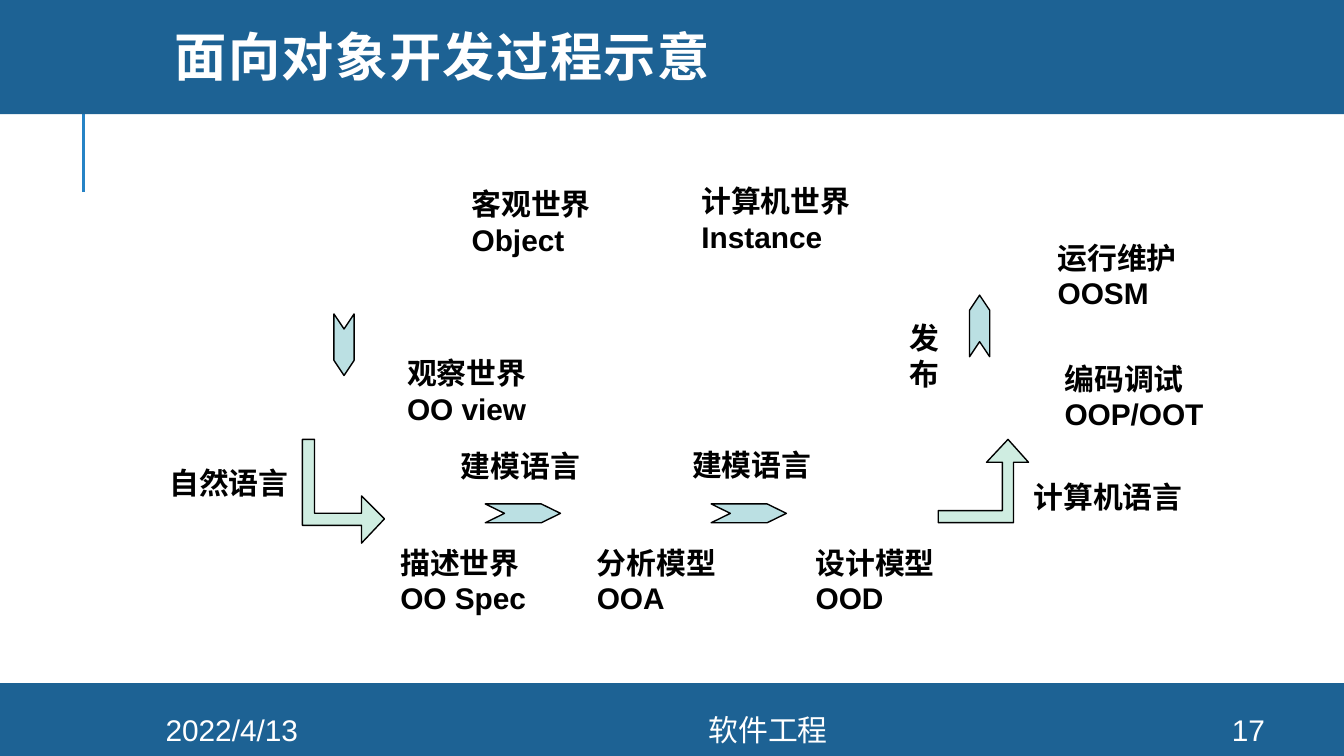
from lxml.etree import SubElement
from pptx import Presentation
from pptx.dml.color import RGBColor
from pptx.enum.shapes import MSO_CONNECTOR as Connector, MSO_SHAPE as Shape
from pptx.enum.text import MSO_ANCHOR as Anchor, PP_ALIGN as Align
from pptx.oxml.ns import qn
from pptx.util import Pt

NAVY = RGBColor(0x1D, 0x62, 0x94)
BLUE = RGBColor(0x26, 0x83, 0xC6)
WHITE = RGBColor(0xFF, 0xFF, 0xFF)
BLACK = RGBColor(0x00, 0x00, 0x00)
TEAL = RGBColor(0xBB, 0xE0, 0xE3)
MINT = RGBColor(0xCF, 0xED, 0xE1)

LABELS = [
    ("客观世界\nObject", 162.4, 1.4, 76, 25),
    ("计算机世界\nInstance", 285.5, 0, 92, 40),
    ("运行维护\nOOSM", 476.3, 30.2, 76, 25),
    ("观察世界\nOO view", 127.8, 92, 83, 38),
    ("编码调试\nOOP/OOT", 480, 95, 106, 42),
    ("描述世界\nOO Spec", 124.2, 193.6, 86, 43),
    ("分析模型\nOOA", 229.4, 193.6, 88, 25),
    ("设计模型\nOOD", 346.7, 193.6, 78, 25),
    ("自然语言", 0.4, 149, 78, 20),
    ("建模语言", 156.6, 139.6, 95, 34),
    ("建模语言", 280.5, 139, 86, 31),
    ("计算机语言", 463.4, 156.2, 98, 32),
    ("发布", 397, 71.2, 40, 22),
]
CHEVRONS = [
    (174, 172, 40.3, 10.1, 0, 1.02),
    (295, 172, 40.3, 10.1, 0, 1.02),
    (422.3, 71.2, 33, 10.8, 270, 0.75),
    (81.8, 81.3, 33, 10.8, 90, 0.75),
]
ELBOWS = [
    [(454, 137.4), (442.5, 149.7), (451, 149.7), (451, 175.6), (416.6, 175.6),
     (416.6, 182), (457, 182), (457, 149.7), (465, 149.7)],
    [(120, 180), (107.7, 167.7), (107.7, 177), (82.5, 177), (82.5, 137.4),
     (76, 137.4), (76, 183.5), (107.7, 183.5), (107.7, 193)],
]


def add_text(slide, text, box, size=16, color=WHITE, bold=False, font="Arial",
             anchor=Anchor.MIDDLE, align=Align.LEFT, insets=(7.2, 3.6, 7.2, 3.6)):
    """Add a wrapped text box and return its text frame."""
    text_frame = slide.shapes.add_textbox(*map(Pt, box)).text_frame
    text_frame.word_wrap = True
    text_frame.vertical_anchor = anchor
    (text_frame.margin_left, text_frame.margin_top,
     text_frame.margin_right, text_frame.margin_bottom) = map(Pt, insets)
    text_frame.text = text
    for paragraph in text_frame.paragraphs:
        paragraph.alignment = align
        for run in paragraph.runs:
            run.font.size = Pt(size)
            run.font.name = font
            run.font.bold = bold
            run.font.color.rgb = color
    return text_frame


def paint(shape, fill, line=None):
    """Give a shape a flat fill and an optional thin outline."""
    shape.shadow.inherit = False
    shape.fill.solid()
    shape.fill.fore_color.rgb = fill
    if line is None:
        shape.line.fill.background()
    else:
        shape.line.color.rgb = line
        shape.line.width = Pt(0.75)


def add_band(slide, box):
    """Fill a box with the band colour."""
    paint(slide.shapes.add_shape(Shape.RECTANGLE, *map(Pt, box)), NAVY)


def add_header(slide, box):
    """Draw the title band with the rule that hangs below it."""
    left, top, width, height = box
    rule_x = left + 44.7
    rule = slide.shapes.add_connector(
        Connector.STRAIGHT, Pt(rule_x), Pt(top + 105), Pt(rule_x), Pt(top + 51))
    rule.line.color.rgb = BLUE
    rule.line.width = Pt(1.5)
    SubElement(rule._element.spPr, qn("a:effectLst"))
    add_band(slide, box)
    title = add_text(slide, "面向对象开发过程示意", (left + 86.4, top + 2, 611, 65.5),
                     size=28, bold=True, font="Montserrat")
    paragraph = title.paragraphs[0]
    paragraph.line_spacing = 0.8
    paragraph.runs[0]._r.get_or_add_rPr().set("spc", "80")


def add_footer(slide, box):
    """Draw the bottom band with date, course and page number."""
    left, top, width, height = box
    add_band(slide, box)
    for text, x, field_width in (("2022/4/13", 60.5, 127.4),
                                 ("软件工程", 188, 447), ("17", 640, 57.6)):
        add_text(slide, text, (left + x, top + 16.5, field_width, 16.5),
                 align=Align.CENTER)


def add_process(slide, box):
    """Draw the development flow with its arrows and labels."""
    left, top, width, height = box
    for x, y, length, thickness, rotation, notch in CHEVRONS:
        chevron = slide.shapes.add_shape(
            Shape.CHEVRON, Pt(left + x), Pt(top + y), Pt(length), Pt(thickness))
        chevron.adjustments[0] = notch
        chevron.rotation = rotation
        paint(chevron, TEAL, BLACK)
    for outline in ELBOWS:
        start, *others = [(Pt(left + x), Pt(top + y)) for x, y in outline]
        builder = slide.shapes.build_freeform(*start)
        builder.add_line_segments(others, close=True)
        paint(builder.convert_to_shape(), MINT, BLACK)
    for text, x, y, label_width, label_height in LABELS:
        top_inset = 0 if "\n" in text else 2.2
        add_text(slide, text, (left + x, top + y, label_width, label_height),
                 color=BLACK, bold=True, anchor=Anchor.TOP,
                 insets=(4.3, top_inset, 4.3, 2.2))


def main():
    """Build the slide and save it."""
    presentation = Presentation()
    presentation.slide_width = Pt(720)
    presentation.slide_height = Pt(405)
    slide = presentation.slides.add_slide(presentation.slide_layouts[6])
    add_header(slide, (0, -2, 720, 63.2))
    add_footer(slide, (0, 366, 720, 39))
    add_process(slide, (86, 98, 586, 237))
    presentation.save("out.pptx")


if __name__ == "__main__":
    main()
